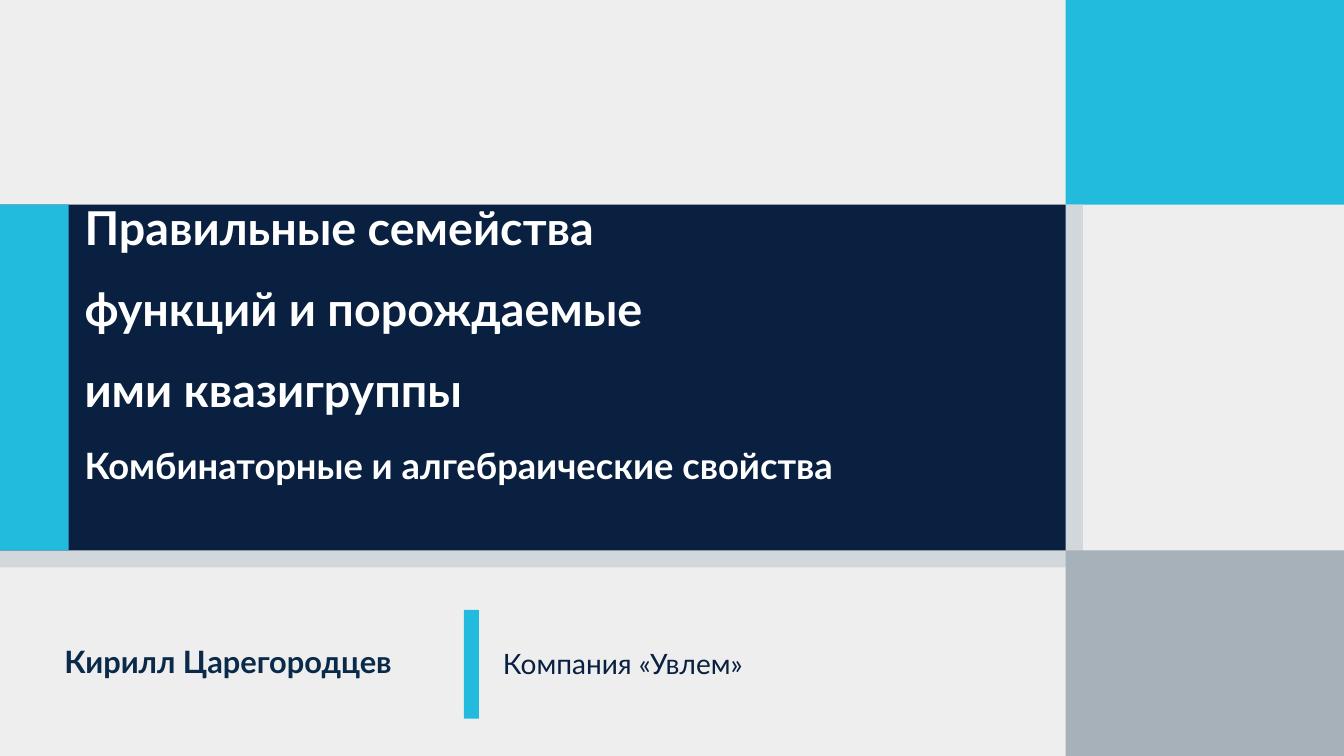
from pptx import Presentation
from pptx.dml.color import RGBColor
from pptx.enum.shapes import MSO_SHAPE
from pptx.util import Inches, Pt

COLORS = {
    "background": "EEEEEE",
    "cyan": "22BBDD",
    "navy": "0A2040",
    "author": "0A2A4A",
    "pale": "D2D7DB",
    "grey": "A7B1B9",
    "white": "FFFFFF",
}
FONT = "Lato"
TITLE = [
    ("Правильные семейства", 33.3),
    ("функций и порождаемые", 33.3),
    ("ими квазигруппы", 33.3),
    ("Комбинаторные и алгебраические свойства", 25.9),
]
AUTHOR = [("Кирилл Царегородцев", 22)]
COMPANY = [("Компания «Увлем»", 20)]

WIDTH, HEIGHT = 13.33, 7.5
BAND_TOP, BAND_HEIGHT = 2.03, 3.43
CORNER_LEFT, STRIPE_WIDTH, SHADE = 10.57, 0.68, 0.17
CORNER_WIDTH = WIDTH - CORNER_LEFT
BAND_BOTTOM = BAND_TOP + BAND_HEIGHT

BLOCKS = [
    ("cyan", CORNER_LEFT, 0, CORNER_WIDTH, BAND_TOP),
    ("pale", 0, BAND_TOP, CORNER_LEFT + SHADE, BAND_HEIGHT + SHADE),
    ("navy", 0, BAND_TOP, CORNER_LEFT, BAND_HEIGHT),
    ("cyan", 0, BAND_TOP, STRIPE_WIDTH, BAND_HEIGHT),
    ("grey", CORNER_LEFT, BAND_BOTTOM, CORNER_WIDTH, HEIGHT - BAND_BOTTOM),
    ("cyan", 4.6, 6.05, 0.15, 1.08),
]


def color(name):
    return RGBColor.from_string(COLORS[name])


def add_block(slide, fill, *box):
    block = slide.shapes.add_shape(MSO_SHAPE.RECTANGLE, *map(Inches, box))
    block.shadow.inherit = False
    block.fill.solid()
    block.fill.fore_color.rgb = color(fill)
    block.line.fill.background()


def add_text(slide, lines, box, ink, bold=False, spacing=1.0, before=0, after=0):
    frame = slide.shapes.add_textbox(*map(Inches, box)).text_frame
    frame.word_wrap = True
    frame.text = "\n".join(text for text, size in lines)
    for paragraph, (text, size) in zip(frame.paragraphs, lines):
        paragraph.line_spacing = spacing
        paragraph.space_before = Pt(before)
        paragraph.space_after = Pt(after)
        paragraph.font.name = FONT
        paragraph.font.size = Pt(size)
        paragraph.font.bold = bold
        paragraph.font.color.rgb = color(ink)


def main():
    """Build the title slide."""
    presentation = Presentation()
    presentation.slide_width = Inches(WIDTH)
    presentation.slide_height = Inches(HEIGHT)
    slide = presentation.slides.add_slide(presentation.slide_layouts[6])
    slide.background.fill.solid()
    slide.background.fill.fore_color.rgb = color("background")
    for block in BLOCKS:
        add_block(slide, *block)
    add_text(slide, TITLE, (0.74, 1.99, 9.8, 3.4), "white",
             bold=True, spacing=0.9, before=11.9, after=9.9)
    add_text(slide, AUTHOR, (0.54, 6.33, 3.8, 0.47), "author", bold=True)
    add_text(slide, COMPANY, (4.89, 6.36, 5.6, 0.43), "navy", before=5)
    presentation.save("out.pptx")


if __name__ == "__main__":
    main()
